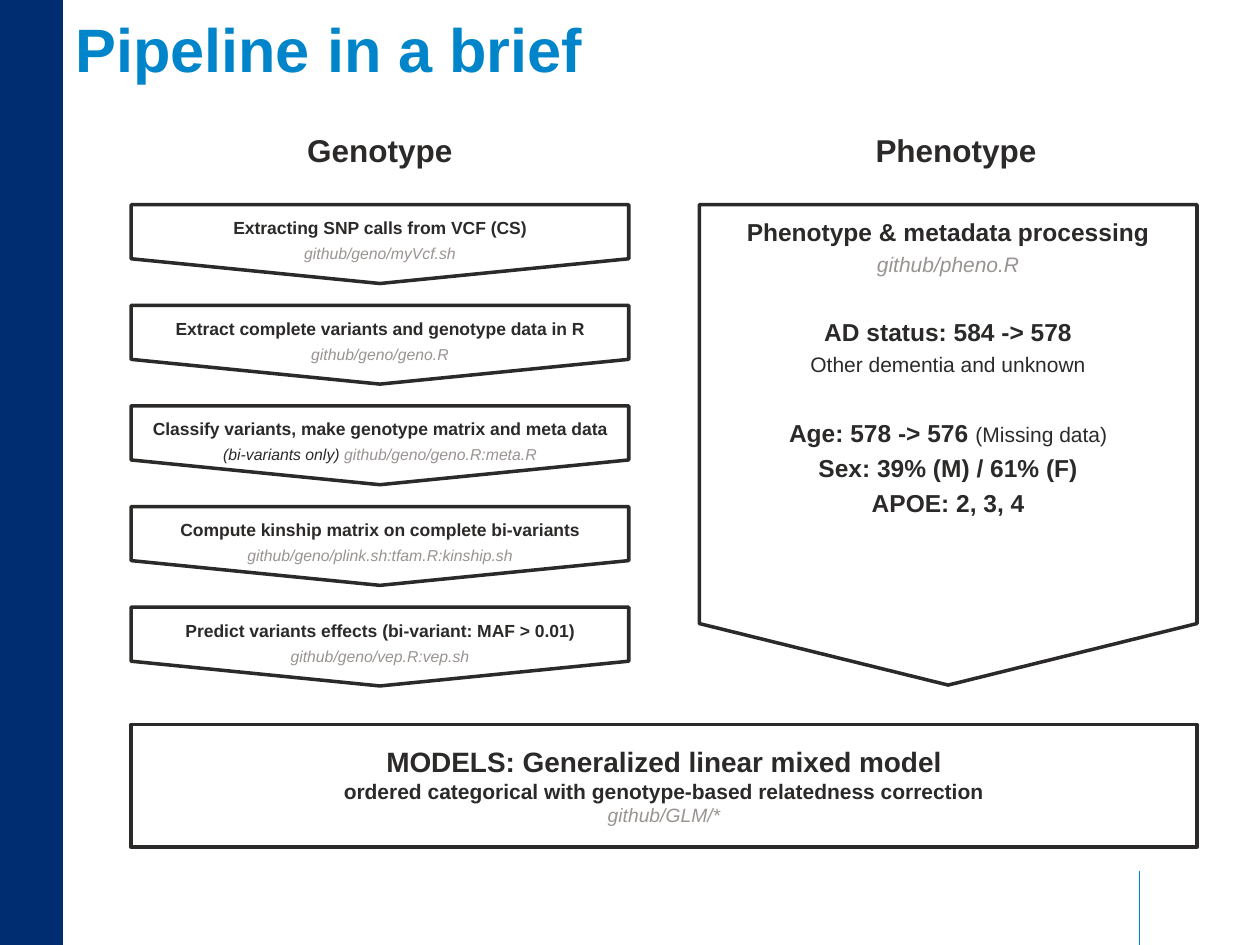
import pptx
import pptx.util
import pptx.dml.color
import pptx.enum.shapes
import pptx.enum.text
import pptx.oxml.ns
import lxml.etree

Pt = pptx.util.Pt
Kind = pptx.enum.shapes.MSO_SHAPE
Align = pptx.enum.text.PP_ALIGN
Anchor = pptx.enum.text.MSO_ANCHOR

NAVY, BLUE, INK, GREY, WHITE = "002D72", "0085CA", "2C2A29", "999391", "FFFFFF"


def color(code):
    return pptx.dml.color.RGBColor.from_string(code)


def bold(text, size, tint=INK):
    return text, size, tint, True, False


def plain(text, size):
    return text, size, INK, False, False


def slant(text, size, tint=GREY):
    return text, size, tint, False, True


class Deck:
    face = "Arial"
    edge = 2

    def __init__(self, width, height):
        self.file = pptx.Presentation()
        self.file.slide_width = Pt(width)
        self.file.slide_height = Pt(height)
        self.slide = self.file.slides.add_slide(self.file.slide_layouts[6])

    def style(self, font, run):
        _, size, tint, heavy, tilt = run
        font.name = self.face
        font.size = Pt(size)
        font.color.rgb = color(tint)
        font.bold = heavy
        font.italic = tilt

    def fill(self, frame, paras, align=Align.CENTER, lead=1.0, gaps=None):
        for i, runs in enumerate(paras):
            para = frame.paragraphs[0] if i == 0 else frame.add_paragraph()
            para.alignment = align
            para.line_spacing = lead
            para.space_before = Pt((gaps or {}).get(i, 0))
            if len(runs) == 1:
                self.style(para.font, runs[0])
            for run in runs:
                part = para.add_run()
                part.text = run[0]
                if len(runs) > 1:
                    self.style(part.font, run)

    def text(self, left, top, width, height, paras, wrap=True, **look):
        box = self.slide.shapes.add_textbox(Pt(left), Pt(top), Pt(width), Pt(height))
        box.text_frame.word_wrap = wrap
        self.fill(box.text_frame, paras, **look)

    def shape(self, kind, left, top, width, height, fill, line=None):
        item = self.slide.shapes.add_shape(kind, Pt(left), Pt(top), Pt(width), Pt(height))
        item.shadow.inherit = False
        item.fill.solid()
        item.fill.fore_color.rgb = color(fill)
        if line:
            item.line.color.rgb = color(line)
            item.line.width = Pt(self.edge)
        else:
            item.line.fill.background()
        return item

    def arrow(self, left, top, width, height, tip):
        shift = (width - height) / 2
        item = self.shape(Kind.PENTAGON, left + shift, top - shift, height, width, WHITE, INK)
        item.rotation = 90
        item.adjustments[0] = tip

    def panel(self, left, top, width, height, paras):
        frame = self.shape(Kind.RECTANGLE, left, top, width, height, WHITE, INK).text_frame
        frame.word_wrap = True
        frame.vertical_anchor = Anchor.MIDDLE
        self.fill(frame, paras)

    def rule(self, x, top, end, tint, width):
        line = self.slide.shapes.add_connector(
            pptx.enum.shapes.MSO_CONNECTOR.STRAIGHT, Pt(x), Pt(top), Pt(x), Pt(end))
        line.line.color.rgb = color(tint)
        line.line.width = Pt(width)
        props = line._element.spPr
        lxml.etree.SubElement(props, pptx.oxml.ns.qn("a:effectLst"))


def main():
    deck = Deck(720, 540)
    deck.rule(651, 497.5, 540, BLUE, 0.25)
    deck.shape(Kind.RECTANGLE, 0, 0, 36, 540, NAVY)
    deck.text(36, 3, 648, 87, [[bold("Pipeline in a brief", 35, BLUE)]], align=Align.LEFT)

    left, right, top, width = 74.9, 399.6, 117, 284.4
    for x, name, span in ((168.5, "Genotype", 98.6), (493.2, "Phenotype", 107.3)):
        deck.text(x, 71.3, span, 29, [[bold(name, 18)]], wrap=False, align=Align.LEFT)

    steps = [
        [[bold("Extracting SNP calls from VCF (CS)", 10)],
         [slant("github/geno/myVcf.sh", 9)]],
        [[bold("Extract complete variants and genotype data in R", 10)],
         [slant("github/geno/geno.R", 9)]],
        [[bold("Classify variants, make genotype matrix and meta data ", 10),
          slant("(bi-variants only) ", 9, INK),
          slant("github/geno/geno.R:meta.R", 9)]],
        [[bold("Compute kinship matrix on complete bi-variants", 10)],
         [slant("github/geno/plink.sh:tfam.R:kinship.sh", 9)]],
        [[bold("Predict variants effects (bi-variant: MAF > 0.01)", 10)],
         [slant("github/geno/vep.R:vep.sh", 9)]],
    ]
    for i, paras in enumerate(steps):
        y = top + i * 57.5
        deck.arrow(left, y, width, 45, 0.314)
        deck.text(left, y, width, 37, paras, lead=1.3)

    deck.arrow(right, top, width, 274.5, 0.128)
    deck.text(right, top, width, 202, [
        [bold("Phenotype & metadata processing", 14)],
        [slant("github/pheno.R", 12)],
        [bold("AD status: 584 -> 578", 14)],
        [plain("Other dementia and unknown", 12)],
        [bold("Age: 578 -> 576 ", 14), plain("(Missing data)", 12)],
        [bold("Sex: 39% (M) / 61% (F)", 14)],
        [bold("APOE: 2, 3, 4", 14)],
    ], lead=1.2, gaps={2: 20, 4: 20})

    deck.panel(left, 414, 609.2, 70, [
        [bold("MODELS: Generalized linear mixed model", 16)],
        [bold("ordered categorical with genotype-based relatedness correction", 12)],
        [slant("github/GLM/*", 11)],
    ])
    deck.file.save("out.pptx")


if __name__ == "__main__":
    main()
